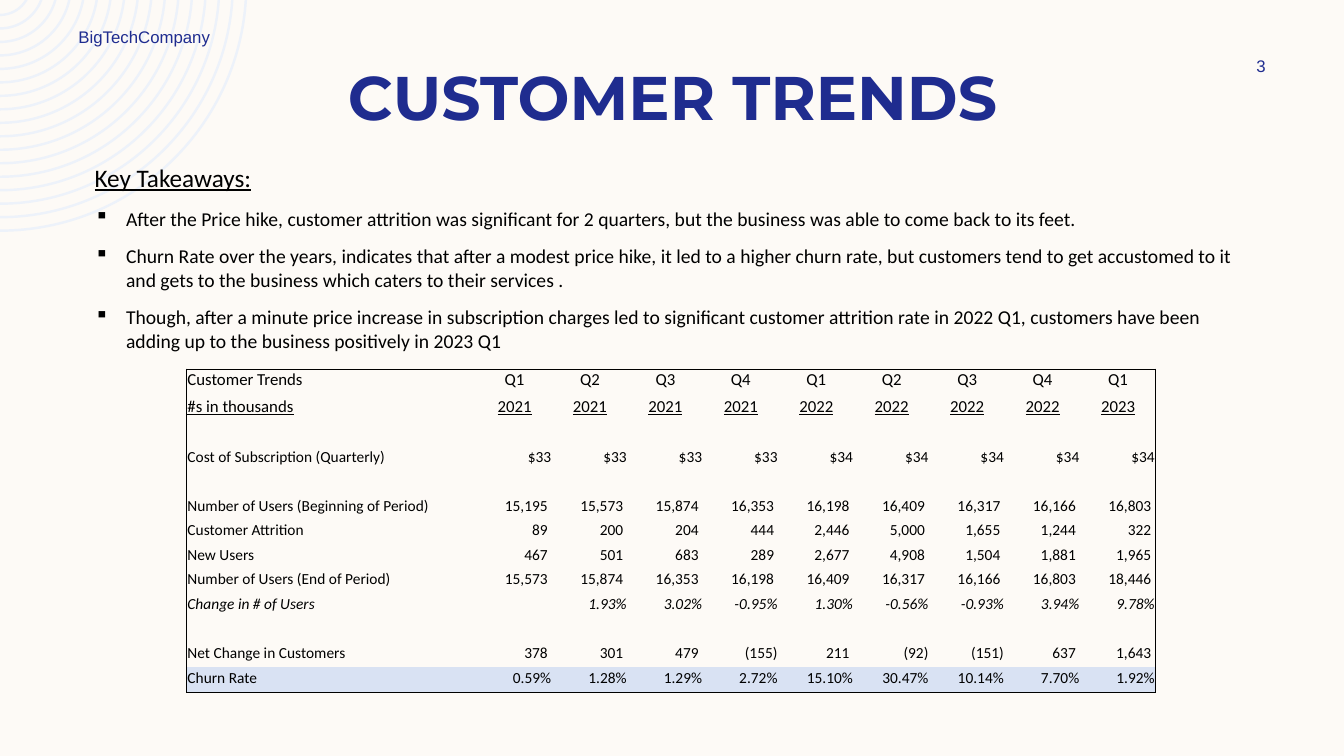
import math

import lxml.etree
import pptx
import pptx.dml.color
import pptx.enum.text
import pptx.oxml.ns
import pptx.util

Pt = pptx.util.Pt
ALIGN = pptx.enum.text.PP_ALIGN
ANCHOR = pptx.enum.text.MSO_ANCHOR

NAVY, BLACK, CREAM = "1F2C8F", "000000", "FDFAF6"
RING_BLUE, ROW_BLUE = "EDF2FA", "D9E2F3"
NO_STYLE = "{2D5ABB26-0587-4C30-8999-92F81FD0307C}"
NBSP = chr(160)

TAKEAWAYS = [
    "After the Price hike, customer attrition was significant for 2 quarters, "
    "but the business was able to come back to its feet.",
    "Churn Rate over the years, indicates that after a modest price hike, it led to a higher "
    "churn rate, but customers tend to get accustomed to it and gets to the business which "
    "caters to their services .",
    "Though, after a minute price increase in subscription charges led to significant customer "
    "attrition rate in 2022 Q1, customers have been adding up to the business positively in 2023 Q1",
]

EMPTY_ROW = ("", [""] * 9)
TREND_ROWS = [
    ("Customer Trends", "Q1 Q2 Q3 Q4 Q1 Q2 Q3 Q4 Q1".split()),
    ("#s in thousands", ["2021"] * 4 + ["2022"] * 4 + ["2023"]),
    EMPTY_ROW,
    ("Cost of Subscription (Quarterly)", ["$33"] * 4 + ["$34"] * 5),
    EMPTY_ROW,
    ("Number of Users (Beginning of Period)",
     "15,195 15,573 15,874 16,353 16,198 16,409 16,317 16,166 16,803".split()),
    ("Customer Attrition", "89 200 204 444 2,446 5,000 1,655 1,244 322".split()),
    ("New Users", "467 501 683 289 2,677 4,908 1,504 1,881 1,965".split()),
    ("Number of Users (End of Period)",
     "15,573 15,874 16,353 16,198 16,409 16,317 16,166 16,803 18,446".split()),
    ("Change in # of Users",
     [""] + "1.93% 3.02% -0.95% 1.30% -0.56% -0.93% 3.94% 9.78%".split()),
    EMPTY_ROW,
    ("Net Change in Customers", "378 301 479 (155) 211 (92) (151) 637 1,643".split()),
    ("Churn Rate", "0.59% 1.28% 1.29% 2.72% 15.10% 30.47% 10.14% 7.70% 1.92%".split()),
]


def rgb(value):
    return pptx.dml.color.RGBColor.from_string(value)


def add_element(parent, tag, **attributes):
    return lxml.etree.SubElement(parent, pptx.oxml.ns.qn("a:" + tag), **attributes)


def style_font(font, size, name="Calibri", color=BLACK, bold=False, italic=False, underline=False):
    font.size = Pt(size)
    font.name = name
    font.color.rgb = rgb(color)
    font.bold, font.italic, font.underline = bold, italic, underline


def add_run(para, text, size, **style):
    span = para.add_run()
    span.text = text
    style_font(span.font, size, **style)


def add_text_box(slide, left, top, width, height, anchor=ANCHOR.TOP):
    box = slide.shapes.add_textbox(Pt(left), Pt(top), Pt(width), Pt(height))
    box.text_frame.word_wrap = True
    box.text_frame.vertical_anchor = anchor
    return box.text_frame


def add_label(slide, place, text, size, align=ALIGN.LEFT, anchor=ANCHOR.MIDDLE, **style):
    para = add_text_box(slide, *place, anchor).paragraphs[0]
    para.alignment = align
    add_run(para, text, size, color=NAVY, **style)


def set_bullet(para, indent):
    properties = para._p.get_or_add_pPr()
    properties.set("marL", str(Pt(indent)))
    properties.set("indent", str(-Pt(indent)))
    add_element(properties, "buChar", char="▪")


def arc_curve(radius, center_y):
    """Four Bezier points from the slide's top to its left edge, round a centre on that edge."""
    start = math.asin(-center_y / radius)
    reach = radius * 4 / 3 * math.tan((math.pi / 2 - start) / 4)
    x, y = radius * math.cos(start), center_y + radius * math.sin(start)
    bottom = center_y + radius
    return [(x, y), (x - reach * math.sin(start), y + reach * math.cos(start)),
            (reach, bottom), (0, bottom)]


def add_segment(outline, tag, points):
    segment = add_element(outline, tag)
    for x, y in points:
        add_element(segment, "pt", x=str(Pt(x)), y=str(Pt(y)))


def add_corner_rings(slide, count=17, outer=176.8, gap=9.63, thickness=1.73, center_y=-11.16):
    curve = arc_curve(outer, center_y)
    builder = slide.shapes.build_freeform(0, 0)
    builder.add_line_segments([(Pt(curve[0][0]), 0), (0, Pt(curve[-1][1]))])
    rings = builder.convert_to_shape()
    outline = next(rings._element.iter(pptx.oxml.ns.qn("a:path")))
    for segment in list(outline):
        outline.remove(segment)
    for ring in range(count):
        radius = outer - ring * gap
        far_edge = arc_curve(radius, center_y)
        near_edge = arc_curve(radius - thickness, center_y)[::-1]
        add_segment(outline, "moveTo", far_edge[:1])
        add_segment(outline, "cubicBezTo", far_edge[1:])
        add_segment(outline, "lnTo", near_edge[:1])
        add_segment(outline, "cubicBezTo", near_edge[1:])
        add_element(outline, "close")
    rings.shadow.inherit = False
    rings.fill.solid()
    rings.fill.fore_color.rgb = rgb(RING_BLUE)
    rings.line.fill.background()


def add_takeaways(slide):
    frame = add_text_box(slide, 60.5, 112.3, 840.2, 144)
    add_run(frame.paragraphs[0], "Key Takeaways:", 18, underline=True)
    for takeaway in TAKEAWAYS:
        para = frame.add_paragraph()
        para.space_before = Pt(10)
        set_bullet(para, 22.5)
        add_run(para, takeaway, 14)


def set_border(cell, side):
    line = add_element(cell._tc.get_or_add_tcPr(), "ln" + side, w=str(Pt(0.5)))
    add_element(add_element(line, "solidFill"), "srgbClr", val=BLACK)


def fill_cell(cell, text, align, size, **style):
    cell.margin_left = cell.margin_right = cell.margin_top = Pt(0.7)
    cell.margin_bottom = Pt(3.6)
    cell.vertical_anchor = ANCHOR.BOTTOM
    para = cell.text_frame.paragraphs[0]
    para.alignment = align
    if text:
        add_run(para, text, size, **style)
    else:
        style_font(para.font, size)


def padded(value):
    """Plain counts end in a space as wide as the closing bracket of negatives."""
    return value + NBSP if value[-1:].isdigit() and value[0] != "$" else value


def add_trend_table(slide):
    row_count, column_count = len(TREND_ROWS), len(TREND_ROWS[0][1]) + 1
    last_row, last_column = row_count - 1, column_count - 1
    table = slide.shapes.add_table(row_count, column_count, Pt(133.2), Pt(263.5),
                                   Pt(692.5), Pt(230.5)).table
    table.first_row = table.horz_banding = False
    table._tbl.tblPr.find(pptx.oxml.ns.qn("a:tableStyleId")).text = NO_STYLE
    for index, column in enumerate(table.columns):
        column.width = Pt(53.9 if index else 207.4)

    for row, (label, values) in enumerate(TREND_ROWS):
        is_header = row < 2
        table.rows[row].height = Pt(19 if is_header else 17.5)
        for column, value in enumerate([label] + values):
            cell = table.cell(row, column)
            if column == 0:
                align = ALIGN.LEFT
            else:
                align = ALIGN.CENTER if is_header else ALIGN.RIGHT
                value = value if is_header else padded(value)
            fill_cell(cell, value, align, 12 if is_header else 11,
                      underline=row == 1, italic=label.startswith("Change"))
            edges = {"L": column == 0, "R": column == last_column,
                     "T": row == 0, "B": row == last_row}
            for side, is_outer in edges.items():
                if is_outer:
                    set_border(cell, side)
            if row == last_row:
                cell.fill.solid()
                cell.fill.fore_color.rgb = rgb(ROW_BLUE)
            else:
                cell.fill.background()


def main():
    deck = pptx.Presentation()
    deck.slide_width, deck.slide_height = Pt(960), Pt(540)
    slide = deck.slides.add_slide(deck.slide_layouts[6])
    slide.background.fill.solid()
    slide.background.fill.fore_color.rgb = rgb(CREAM)

    add_corner_rings(slide)
    add_label(slide, (60.5, 38.9, 840.2, 60.5), "CUSTOMER TRENDS", 44, ALIGN.CENTER,
              ANCHOR.TOP, name="Montserrat", bold=True)
    add_label(slide, (861.8, 36, 77.8, 21.6), "3", 12, ALIGN.CENTER, name="Arial")
    add_takeaways(slide)
    add_label(slide, (49, 15.8, 252, 21.6), "BigTechCompany", 12, name="Arial")
    add_trend_table(slide)
    deck.save("out.pptx")


if __name__ == "__main__":
    main()
